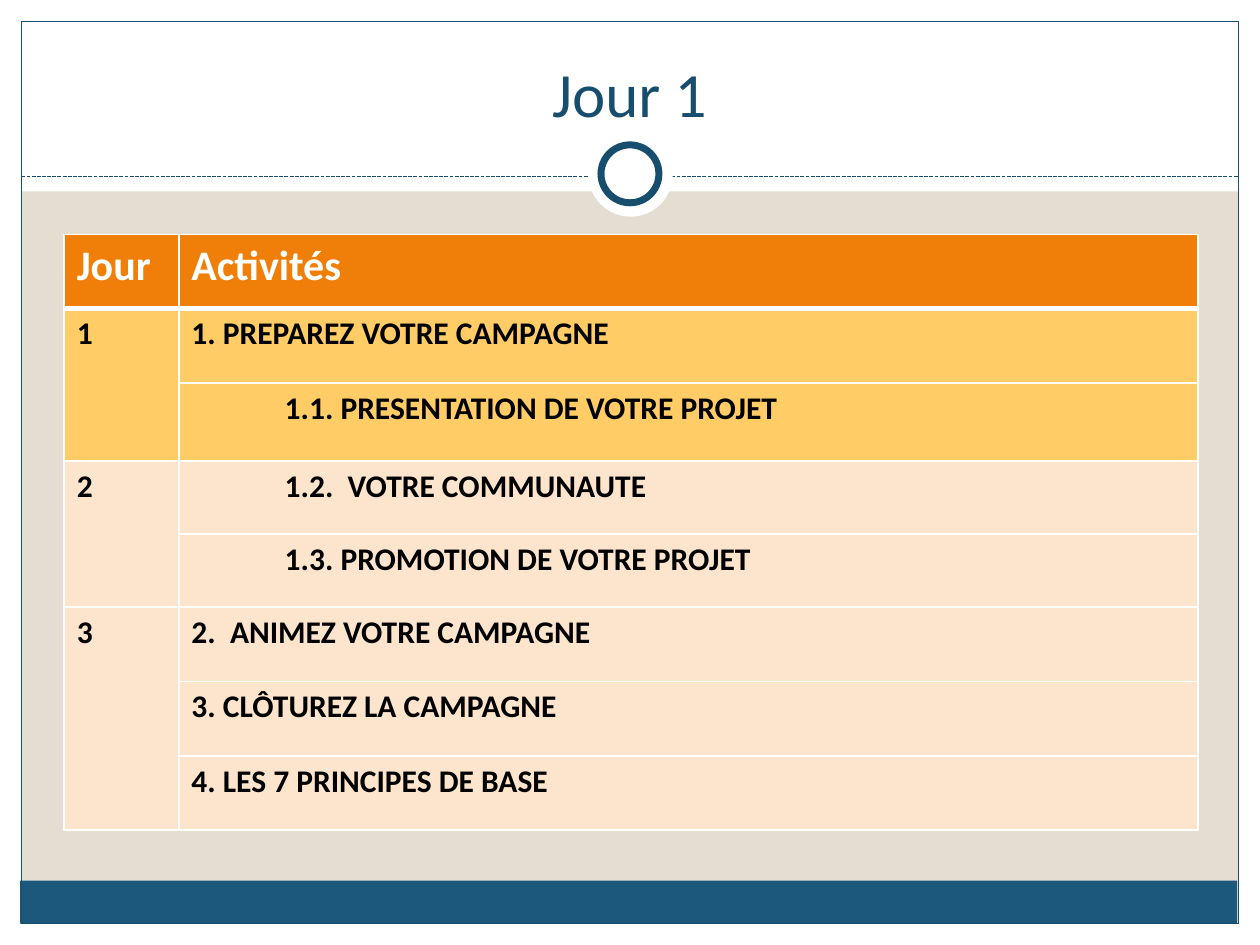
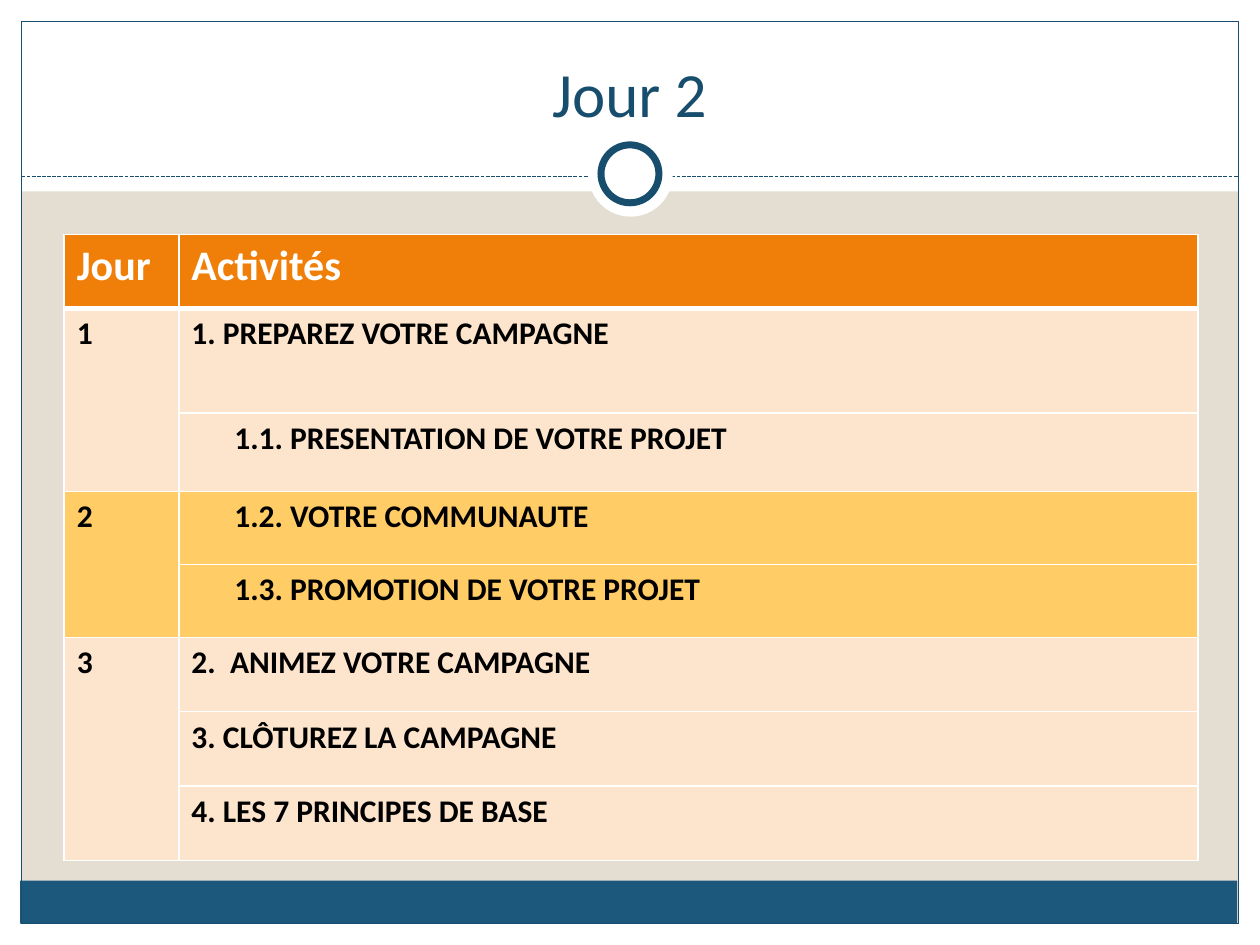
from dataclasses import dataclass
from typing import Optional

from lxml.etree import SubElement
from pptx import Presentation
from pptx.dml.color import RGBColor
from pptx.enum.dml import MSO_LINE
from pptx.enum.shapes import MSO_CONNECTOR, MSO_SHAPE
from pptx.enum.text import MSO_ANCHOR, PP_ALIGN
from pptx.oxml import parse_xml
from pptx.oxml.ns import nsdecls, qn
from pptx.util import Inches, Pt

WHITE = RGBColor(0xFF, 0xFF, 0xFF)
BLACK = RGBColor(0x00, 0x00, 0x00)
SAND = RGBColor(0xE3, 0xDE, 0xD1)
NAVY = RGBColor(0x18, 0x4E, 0x6D)
FOOTER_BLUE = RGBColor(0x1B, 0x58, 0x7C)
ORANGE = RGBColor(0xF0, 0x7F, 0x09)
PEACH = RGBColor(0xFD, 0xE5, 0xCD)
GOLD = RGBColor(0xFF, 0xCC, 0x66)
FONT = "Calibri"

BORDER = 1
HEADER_BORDER = 3
HEADINGS = ("Jour", "Activités")
COLUMN_WIDTHS = (0.91, 8.09)


@dataclass(frozen=True)
class Decoration:
    left: float
    top: float
    width: float
    height: float
    fill: Optional[RGBColor] = None
    line_width: float = 0
    kind: MSO_SHAPE = MSO_SHAPE.RECTANGLE


@dataclass(frozen=True)
class Activity:
    day: int
    text: str
    is_step: bool = False


@dataclass(frozen=True)
class DayPlan:
    day: int
    row_heights: tuple[float, ...]
    step_indent: float
    activities: tuple[Activity, ...]


FRAME = (
    Decoration(0, 7.33, 10, 0.17, WHITE),
    Decoration(0, 0, 10, 1.52, WHITE),
    Decoration(0, 0, 0.17, 7.5, WHITE),
    Decoration(9.83, 0, 0.17, 7.5, WHITE),
    Decoration(0.16, 6.99, 9.66, 0.34, FOOTER_BLUE),
    Decoration(0.17, 0.17, 9.66, 7.16, line_width=0.75),
)
RING = (
    Decoration(4.67, 1.05, 0.67, 0.67, WHITE, kind=MSO_SHAPE.OVAL),
    Decoration(4.77, 1.15, 0.46, 0.46, WHITE, 4, MSO_SHAPE.OVAL),
)


def list_activities(community: str) -> tuple[Activity, ...]:
    return (
        Activity(1, "1. PREPAREZ VOTRE CAMPAGNE"),
        Activity(1, "1.1. PRESENTATION DE VOTRE PROJET", True),
        Activity(2, community, True),
        Activity(2, "1.3. PROMOTION DE VOTRE PROJET", True),
        Activity(3, "2.  ANIMEZ VOTRE CAMPAGNE"),
        Activity(3, "3. CLÔTUREZ LA CAMPAGNE"),
        Activity(3, "4. LES 7 PRINCIPES DE BASE"),
    )


PLANS = (
    DayPlan(1, (0.59, 0.59, 0.62, 0.58, 0.58, 0.59, 0.59, 0.59), 0.74,
            list_activities("1.2.  VOTRE COMMUNAUTE")),
    DayPlan(2, (0.59, 0.83, 0.62, 0.58, 0.58, 0.59, 0.59, 0.59), 0.34,
            list_activities("1.2. VOTRE COMMUNAUTE")),
)


def write(frame, text: str, *, size: float, color: RGBColor, bold: bool = False,
          align: PP_ALIGN = PP_ALIGN.LEFT, indent: float = 0) -> None:
    para = frame.paragraphs[0]
    para.alignment = align
    if indent:
        properties = para._p.get_or_add_pPr()
        properties.set("marL", str(Inches(indent)))
        properties.set("indent", "0")
    span = para.add_run()
    span.text = text
    span.font.name = FONT
    span.font.size = Pt(size)
    span.font.bold = bold
    span.font.color.rgb = color


def draw_decoration(page, item: Decoration) -> None:
    shape = page.shapes.add_shape(
        item.kind, Inches(item.left), Inches(item.top),
        Inches(item.width), Inches(item.height))
    shape.shadow.inherit = False
    if item.fill is None:
        shape.fill.background()
    else:
        shape.fill.solid()
        shape.fill.fore_color.rgb = item.fill
    if item.line_width:
        shape.line.color.rgb = NAVY
        shape.line.width = Pt(item.line_width)
    else:
        shape.line.fill.background()


def draw_dashed_rule(page) -> None:
    rule = page.shapes.add_connector(
        MSO_CONNECTOR.STRAIGHT, Inches(0.17), Inches(1.4), Inches(9.83), Inches(1.4))
    rule.line.color.rgb = NAVY
    rule.line.width = Pt(0.75)
    rule.line.dash_style = MSO_LINE.SQUARE_DOT
    SubElement(rule._element.spPr, qn("a:effectLst"))


def draw_backdrop(page) -> None:
    page.background.fill.solid()
    page.background.fill.fore_color.rgb = SAND
    for item in FRAME:
        draw_decoration(page, item)
    draw_dashed_rule(page)
    for item in RING:
        draw_decoration(page, item)


def draw_title(page, text: str) -> None:
    box = page.shapes.add_textbox(Inches(0.33), Inches(0.25), Inches(9.33), Inches(0.83))
    box.text_frame.word_wrap = True
    box.text_frame.vertical_anchor = MSO_ANCHOR.BOTTOM
    write(box.text_frame, text, size=36, color=NAVY, align=PP_ALIGN.CENTER)


def style_cell(cell, fill: RGBColor, top: float, bottom: float) -> None:
    """Fill the cell and give it white borders, which must precede the fill in the XML."""
    cell.fill.solid()
    cell.fill.fore_color.rgb = fill
    properties = cell._tc.get_or_add_tcPr()
    widths = {"lnL": BORDER, "lnR": BORDER, "lnT": top, "lnB": bottom}
    for position, (side, width) in enumerate(widths.items()):
        properties.insert(position, parse_xml(
            f'<a:{side} {nsdecls("a")} w="{Pt(width)}"><a:solidFill>'
            f'<a:srgbClr val="{WHITE}"/></a:solidFill></a:{side}>'))


def draw_schedule(page, plan: DayPlan) -> None:
    """Draw the activity table, with the rows of the plan's own day in gold."""
    table = page.shapes.add_table(
        len(plan.row_heights), len(COLUMN_WIDTHS), Inches(0.51), Inches(1.86),
        Inches(sum(COLUMN_WIDTHS)), Inches(sum(plan.row_heights))).table
    table.horz_banding = False
    for column, width in zip(table.columns, COLUMN_WIDTHS):
        column.width = Inches(width)
    for row, height in zip(table.rows, plan.row_heights):
        row.height = Inches(height)

    for column, heading in enumerate(HEADINGS):
        cell = table.cell(0, column)
        style_cell(cell, ORANGE, BORDER, HEADER_BORDER)
        write(cell.text_frame, heading, size=24, color=WHITE, bold=True)

    day_rows: dict[int, list[int]] = {}
    for row, activity in enumerate(plan.activities, start=1):
        day_rows.setdefault(activity.day, []).append(row)
        fill = GOLD if activity.day == plan.day else PEACH
        for cell in table.rows[row].cells:
            style_cell(cell, fill, HEADER_BORDER if row == 1 else BORDER, BORDER)
        write(table.cell(row, 1).text_frame, activity.text, size=18, color=BLACK,
              bold=True, indent=plan.step_indent if activity.is_step else 0)

    for day, rows in day_rows.items():
        day_cell = table.cell(rows[0], 0)
        day_cell.merge(table.cell(rows[-1], 0))
        write(day_cell.text_frame, str(day), size=18, color=BLACK, bold=True)


def main() -> None:
    deck = Presentation()
    deck.slide_width = Inches(10)
    deck.slide_height = Inches(7.5)
    for plan in PLANS:
        page = deck.slides.add_slide(deck.slide_layouts[6])
        draw_backdrop(page)
        draw_title(page, f"Jour {plan.day}")
        draw_schedule(page, plan)
    deck.save("out.pptx")


if __name__ == "__main__":
    main()
